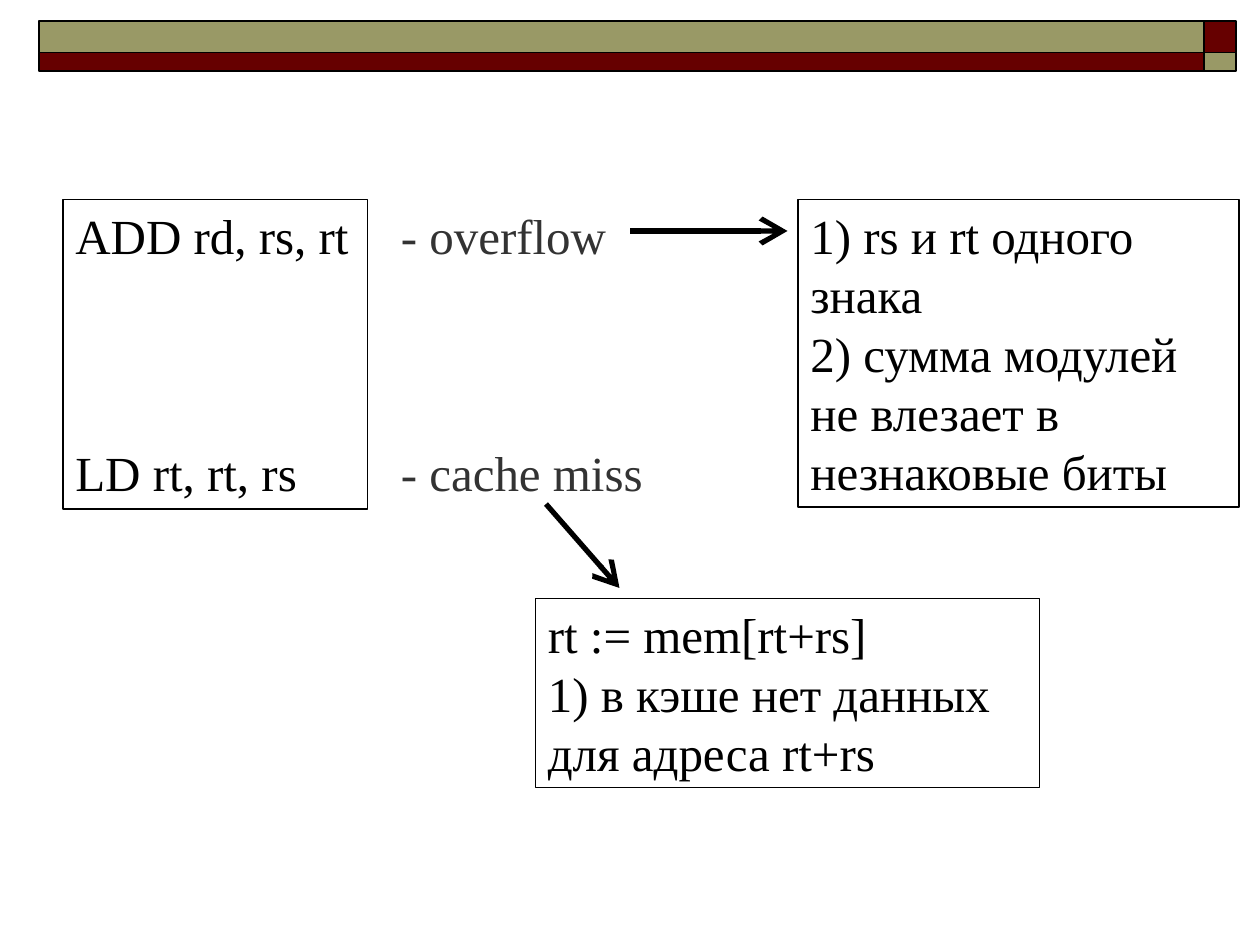
from lxml.etree import SubElement
from pptx import Presentation
from pptx.dml.color import RGBColor
from pptx.enum.shapes import MSO_CONNECTOR, MSO_SHAPE
from pptx.enum.text import MSO_ANCHOR, PP_ALIGN
from pptx.oxml.ns import qn
from pptx.util import Inches, Pt

prs = Presentation()
prs.slide_width, prs.slide_height = Inches(10), Inches(7.5)
s = prs.slides.add_slide(prs.slide_layouts[6])
CELL = prs.slide_width / 120  # grid of 120 columns by 90 rows


def grid(*cells):
    return [round(c * CELL) for c in cells]


def color(target, value):
    if hasattr(target, "solid"):
        target.solid()
        target = target.fore_color
    target.rgb = RGBColor.from_string(value)


# Two-tone header band, with the colours swapped in the right-hand corner
OLIVE, MAROON, BLACK, GREY = "999966", "660000", "000000", "333333"
for top, height, bar, corner in [(2, 3, OLIVE, MAROON), (5, 1.8, MAROON, OLIVE)]:
    for left, width, fill in [(3.7, 111, bar), (114.7, 3, corner)]:
        sp = s.shapes.add_shape(MSO_SHAPE.RECTANGLE, *grid(left, top, width, height))
        sp.shadow.inherit = False
        color(sp.fill, fill)
        color(sp.line.color, BLACK)
        sp.line.width = Pt(1)

# Framed boxes and plain labels: left, top, width, height, framed, text
texts = [
    (6, 19, 29, 29.5, True, "ADD rd, rs, rt\nLD rt, rt, rs"),
    (37, 19, 27, 6.8, False, "- overflow"),
    (37, 41.6, 27, 6.8, False, "- cache miss"),
    (76, 19, 42, 29.3, True,
     "1) rs и rt одного знака\v2) сумма модулей не влезает в незнаковые биты"),
    (51, 57, 48, 18, True, "rt := mem[rt+rs]\v1) в кэше нет данных для адреса rt+rs"),
]
for left, top, width, height, framed, text in texts:
    box = grid(left, top, width, height)
    if framed:
        sp = s.shapes.add_shape(MSO_SHAPE.RECTANGLE, *box)
        sp.shadow.inherit = False
        sp.fill.background()
        color(sp.line.color, BLACK)
        sp.line.width = Pt(1)
    else:
        sp = s.shapes.add_textbox(*box)
    tf = sp.text_frame
    tf.word_wrap = True
    tf.vertical_anchor = MSO_ANCHOR.TOP
    tf.text = text
    for i, p in enumerate(tf.paragraphs):
        p.alignment = PP_ALIGN.LEFT
        p.space_before = Pt(102 if i else 0)  # pushes LD down to its label
        for r in p.runs:
            r.font.name = "Times New Roman"
            r.font.size = Pt(28)
            color(r.font.color, BLACK if framed else GREY)

# Arrows from each exception to its explanation
for ends in [(60, 22, 75, 22), (52, 48, 59, 56)]:
    arrow = s.shapes.add_connector(MSO_CONNECTOR.STRAIGHT, *grid(*ends))
    color(arrow.line.color, BLACK)
    arrow.line.width = Pt(3)
    SubElement(arrow.line._get_or_add_ln(), qn("a:tailEnd"),
               type="arrow", w="lg", len="lg")
    SubElement(arrow._element.spPr, qn("a:effectLst"))

prs.save("out.pptx")
